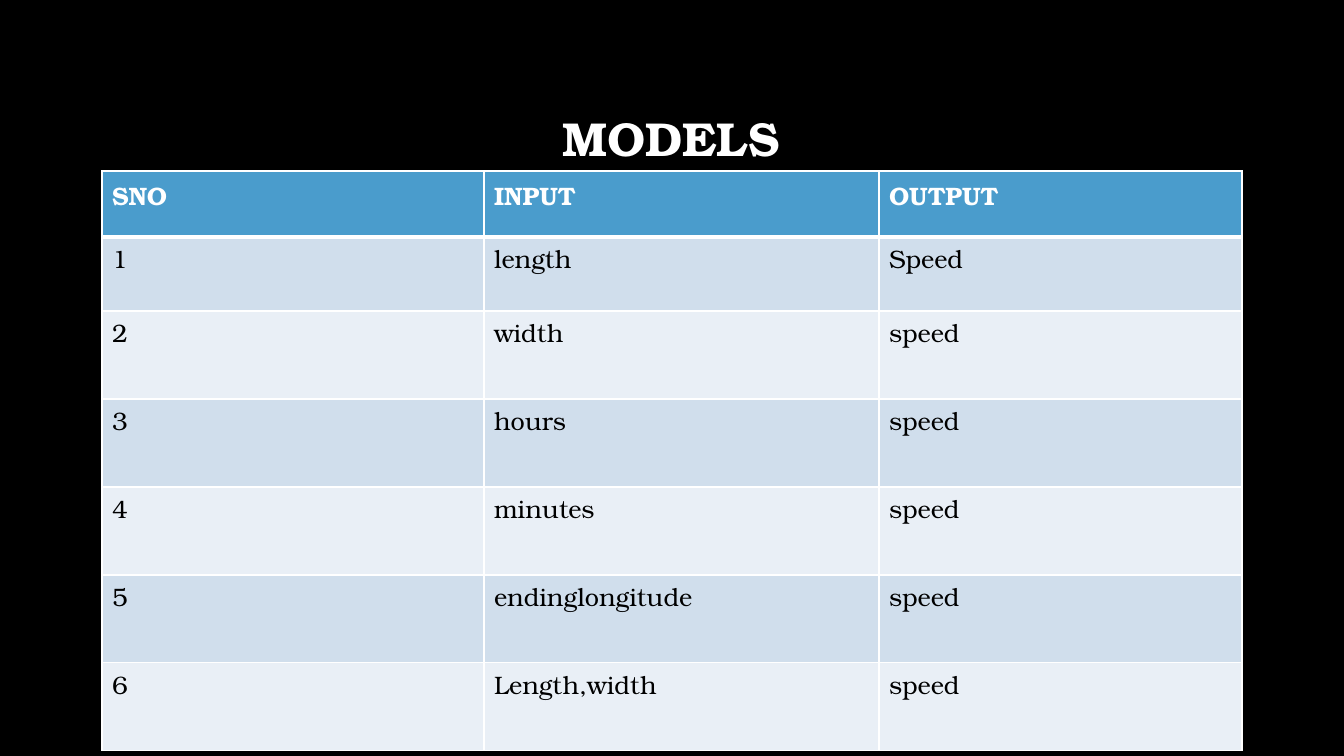
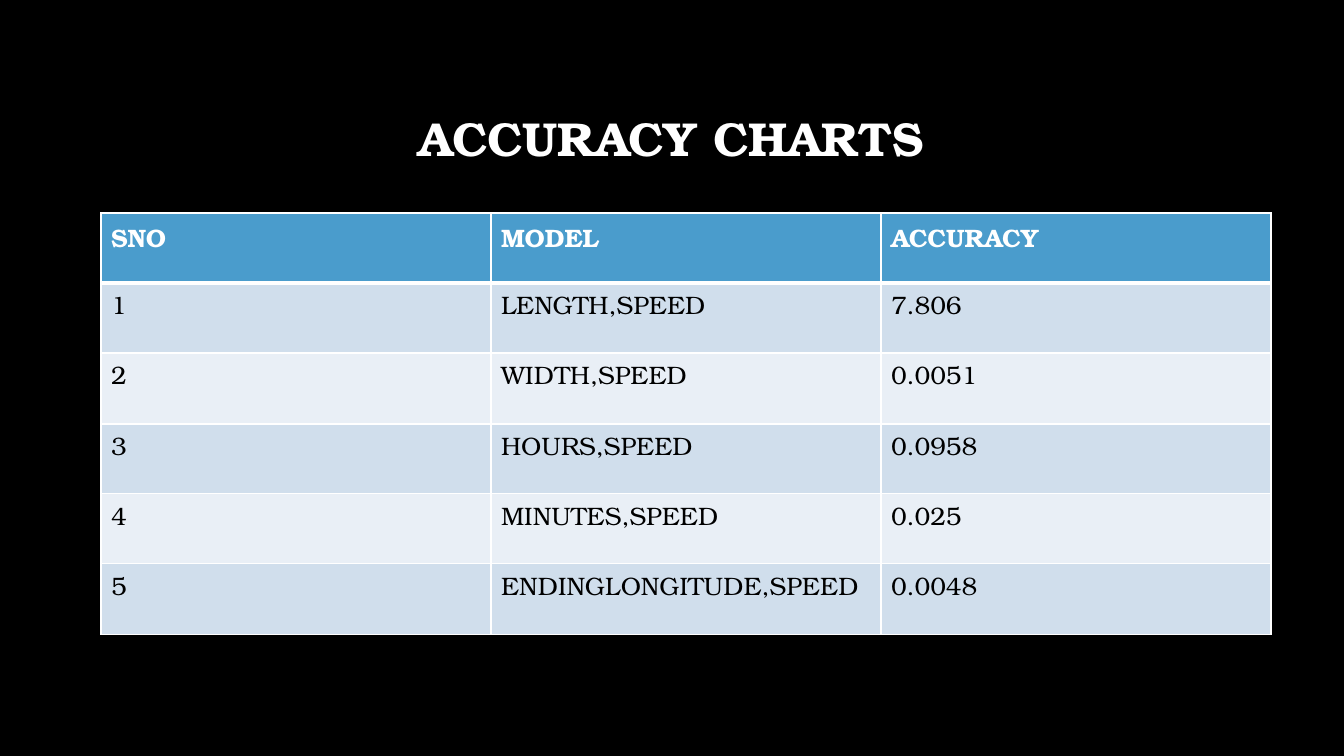
from dataclasses import dataclass

from lxml import etree
from pptx import Presentation
from pptx.dml.color import RGBColor
from pptx.enum.text import MSO_ANCHOR, PP_ALIGN
from pptx.oxml.ns import qn
from pptx.util import Emu, Pt

CENTER = PP_ALIGN.CENTER
MIDDLE = MSO_ANCHOR.MIDDLE
BLANK_LAYOUT = 6
SLIDE_WIDTH, SLIDE_HEIGHT = 1344, 756
EMU_PER_PX = 12192000 / SLIDE_WIDTH
THIN, THICK = Pt(1), Pt(3)

COLORS = {
    "background": "000000",
    "title": "FFFFFF",
    "header_text": "FFFFFF",
    "body_text": "000000",
    "border": "FFFFFF",
    "header": "4A9CCC",
    "odd_row": "D0DEEC",
    "even_row": "E9EFF6",
}
FONT = "TeX Gyre Bonum"
TITLE_FORMAT = {"name": FONT, "size": Pt(34), "bold": True}
HEADER_FORMAT = {"name": FONT, "size": Pt(18), "bold": True}
BODY_FORMAT = {"name": FONT, "size": Pt(18), "bold": False}
TITLE_BOX = (101, 68, 1141, 146)


@dataclass(frozen=True)
class TablePage:
    title: str
    left: int
    top: int
    columns: tuple[int, ...]
    rows: tuple[int, ...]
    cells: tuple[tuple[str, ...], ...]


PAGES = (
    TablePage(
        "MODELS", 102, 171, (382, 395, 363), (66, 74) + (88,) * 5,
        (
            ("SNO", "INPUT", "OUTPUT"),
            ("1", "length", "Speed"),
            ("2", "width", "speed"),
            ("3", "hours", "speed"),
            ("4", "minutes", "speed"),
            ("5", "endinglongitude", "speed"),
            ("6", "Length,width", "speed"),
        ),
    ),
    TablePage(
        "ACCURACY CHARTS", 101, 213, (390,) * 3, (70, 70, 71) * 2,
        (
            ("SNO", "MODEL", "ACCURACY"),
            ("1", "LENGTH,SPEED", "7.806"),
            ("2", "WIDTH,SPEED", "0.0051"),
            ("3", "HOURS,SPEED", "0.0958"),
            ("4", "MINUTES,SPEED", "0.025"),
            ("5", "ENDINGLONGITUDE,SPEED", "0.0048"),
        ),
    ),
)


def px(length: int) -> Emu:
    return Emu(round(length * EMU_PER_PX))


def rgb(name: str) -> RGBColor:
    return RGBColor.from_string(COLORS[name])


def write(para, text: str, formats: dict, color: str) -> None:
    span = para.add_run()
    span.text = text
    for attribute, value in formats.items():
        setattr(span.font, attribute, value)
    span.font.color.rgb = rgb(color)


def add_title(page, text: str) -> None:
    box = page.shapes.add_textbox(*map(px, TITLE_BOX))
    frame = box.text_frame
    frame.word_wrap = True
    frame.vertical_anchor = MIDDLE
    para = frame.paragraphs[0]
    para.alignment = CENTER
    para.line_spacing = 0.9
    write(para, text, TITLE_FORMAT, "title")


def set_borders(cell, row: int) -> None:
    widths = {
        "a:lnL": THIN,
        "a:lnR": THIN,
        "a:lnT": THICK if row == 1 else THIN,
        "a:lnB": THICK if row == 0 else THIN,
    }
    properties = cell._tc.get_or_add_tcPr()
    for index, (tag, width) in enumerate(widths.items()):
        line = etree.Element(qn(tag), w=str(width))
        fill = etree.SubElement(line, qn("a:solidFill"))
        etree.SubElement(fill, qn("a:srgbClr"), val=COLORS["border"])
        properties.insert(index, line)


def fill_cell(cell, text: str, row: int) -> None:
    if row == 0:
        fill, formats, color = "header", HEADER_FORMAT, "header_text"
    else:
        fill = "odd_row" if row % 2 else "even_row"
        formats, color = BODY_FORMAT, "body_text"
    cell.fill.solid()
    cell.fill.fore_color.rgb = rgb(fill)
    set_borders(cell, row)
    write(cell.text_frame.paragraphs[0], text, formats, color)


def add_grid(page, content: TablePage) -> None:
    bounds = (content.left, content.top, sum(content.columns), sum(content.rows))
    table = page.shapes.add_table(
        len(content.rows), len(content.columns), *map(px, bounds)
    ).table
    for column, width in zip(table.columns, content.columns):
        column.width = px(width)
    for row, height in zip(table.rows, content.rows):
        row.height = px(height)
    for row_index, texts in enumerate(content.cells):
        for column_index, text in enumerate(texts):
            fill_cell(table.cell(row_index, column_index), text, row_index)


def add_page(deck, content: TablePage) -> None:
    page = deck.slides.add_slide(deck.slide_layouts[BLANK_LAYOUT])
    page.background.fill.solid()
    page.background.fill.fore_color.rgb = rgb("background")
    add_title(page, content.title)
    add_grid(page, content)


def main() -> None:
    deck = Presentation()
    deck.slide_width, deck.slide_height = px(SLIDE_WIDTH), px(SLIDE_HEIGHT)
    for content in PAGES:
        add_page(deck, content)
    deck.save("out.pptx")


if __name__ == "__main__":
    main()
